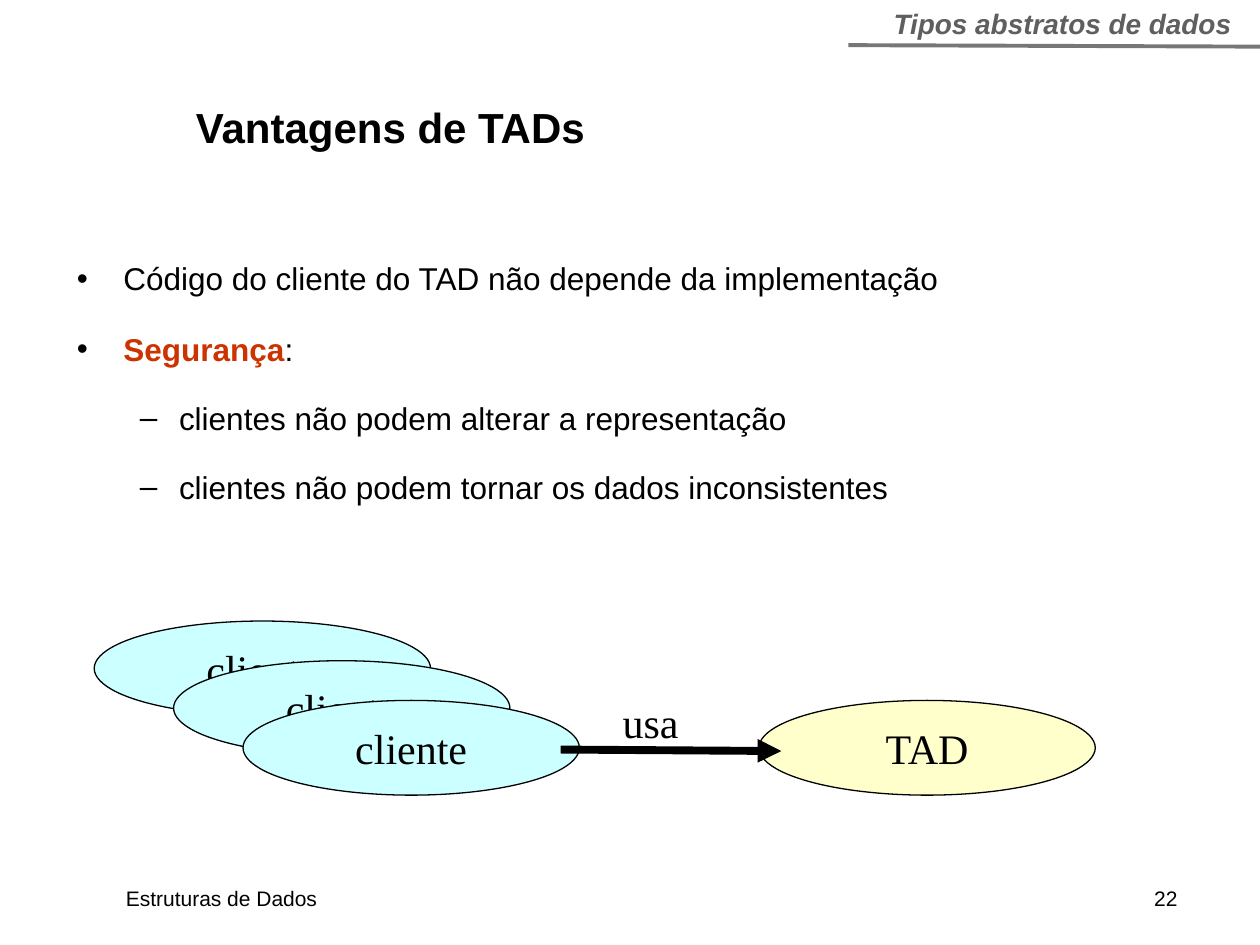
"""Build the slide on the advantages of abstract data types."""
from dataclasses import dataclass

from lxml import etree
from pptx import Presentation, util as u
from pptx.dml.color import RGBColor
from pptx.enum import shapes, text
from pptx.oxml import ns

BLACK = "000000"
MID = text.MSO_ANCHOR.MIDDLE
CENTER = text.PP_ALIGN.CENTER


@dataclass
class Style:
    size: float
    face: str = "Arial"
    color: str = BLACK
    bold: bool = False
    slant: bool = False


@dataclass
class Label:
    words: str
    box: tuple
    style: Style
    align: text.PP_ALIGN = text.PP_ALIGN.LEFT
    anchor: text.MSO_ANCHOR = text.MSO_ANCHOR.TOP
    wrap: bool = True


@dataclass
class Oval:
    words: str
    left: float
    top: float
    fill: str


@dataclass
class Line:
    start: tuple
    end: tuple
    color: str
    width: float
    arrow: bool = False


@dataclass
class Item:
    words: str
    level: int = 0
    before: float = 0
    strong: str = ""


def tint(code: str) -> RGBColor:
    return RGBColor.from_string(code)


def cms(box: tuple) -> list:
    return [u.Cm(side) for side in box]


def add_tag(host, tag: str, **attrs):
    return etree.SubElement(host, ns.qn(tag), attrs)


def set_font(font, style: Style) -> None:
    font.name, font.size = style.face, u.Pt(style.size)
    font.bold, font.italic = style.bold, style.slant
    font.color.rgb = tint(style.color)


def add_label(slide, label: Label):
    frame = slide.shapes.add_textbox(*cms(label.box)).text_frame
    frame.word_wrap, frame.vertical_anchor = label.wrap, label.anchor
    para = frame.paragraphs[0]
    para.text, para.alignment = label.words, label.align
    return para


def add_oval(slide, oval: Oval, style: Style) -> None:
    box = cms((oval.left, oval.top, 6.78, 1.91))
    shape = slide.shapes.add_shape(shapes.MSO_SHAPE.OVAL, *box)
    shape.shadow.inherit = False
    shape.fill.solid()
    shape.fill.fore_color.rgb = tint(oval.fill)
    shape.line.color.rgb = tint(BLACK)
    shape.line.width = u.Pt(0.75)
    shape.text_frame.vertical_anchor = MID
    para = shape.text_frame.paragraphs[0]
    para.text, para.alignment = oval.words, CENTER
    set_font(para.font, style)


def add_line(slide, line: Line) -> None:
    ends = cms(line.start + line.end)
    link = slide.shapes.add_connector(shapes.MSO_CONNECTOR.STRAIGHT, *ends)
    link.line.color.rgb = tint(line.color)
    link.line.width = u.Pt(line.width)
    if line.arrow:
        add_tag(link.line._get_or_add_ln(), "a:tailEnd", type="triangle")
    add_tag(link._element.spPr, "a:effectLst")


def add_item(para, item: Item, style: Style) -> None:
    left, hang, mark = ((0.94, 0.94, "•"), (2.06, 0.79, "–"))[item.level]
    para.level = item.level
    props = para._p.get_or_add_pPr()
    props.set("marL", str(u.Cm(left)))
    props.set("indent", str(-u.Cm(hang)))
    add_tag(add_tag(props, "a:buClr"), "a:srgbClr", val=BLACK)
    add_tag(props, "a:buFont", typeface=style.face)
    add_tag(props, "a:buChar", char=mark)
    para.line_spacing, para.space_before = 1.5, u.Pt(item.before)
    set_font(para.font, style)
    if item.strong:
        run = para.add_run()
        run.text, run.font.bold = item.strong, True
        run.font.color.rgb = tint("CC3300")
    para.add_run().text = item.words


def add_list(slide, box: tuple, items: list, style: Style) -> None:
    frame = slide.shapes.add_textbox(*cms(box)).text_frame
    frame.word_wrap = True
    for spot, item in enumerate(items):
        para = frame.add_paragraph() if spot else frame.paragraphs[0]
        add_item(para, item, style)


def add_foot(slide, label: Label) -> None:
    para = add_label(slide, label)
    tabs = add_tag(para._p.get_or_add_pPr(), "a:tabLst")
    add_tag(tabs, "a:tab", pos=str(u.Cm(21.2)), algn="r")
    set_font(para.font, label.style)


def main() -> None:
    deck = Presentation()
    deck.slide_width, deck.slide_height = u.Cm(25.4), u.Cm(19.05)
    slide = deck.slides.add_slide(deck.slide_layouts[6])
    serif = Style(24, "Times New Roman")

    add_foot(slide, Label("Estruturas de Dados\t22", (2.29, 17.73, 22.2, 0.76), Style(12)))
    add_list(slide, (1.3, 4.72, 21, 6.6), [
        Item("Código do cliente do TAD não depende da implementação"),
        Item(":", before=8, strong="Segurança"),
        Item("clientes não podem alterar a representação", 1, 7),
        Item("clientes não podem tornar os dados inconsistentes", 1, 7),
    ], Style(18))
    for left, top in ((1.9, 12.52), (3.5, 13.32), (4.9, 14.12)):
        add_oval(slide, Oval("cliente", left, top, "CCFFFF"), serif)
    add_oval(slide, Oval("TAD", 15.3, 14.12, "FFFFCC"), serif)

    add_line(slide, Line((11.3, 15.11), (15.75, 15.14), BLACK, 4.5, True))
    add_line(slide, Line((17.1, 0.91), (25.4, 0.94), "777777", 2.25))
    for label in (
        Label("usa", (12.3, 13.92, 1.63, 1.27), serif, wrap=False),
        Label("Vantagens de TADs", (3.7, 1.73, 8.81, 1.65),
              Style(24, bold=True), anchor=MID),
        Label("Tipos abstratos de dados", (17.75, 0, 7.34, 0.94),
              Style(16, color="5F5F5F", bold=True, slant=True), CENTER, wrap=False),
    ):
        set_font(add_label(slide, label).font, label.style)
    deck.save("out.pptx")


if __name__ == "__main__":
    main()
